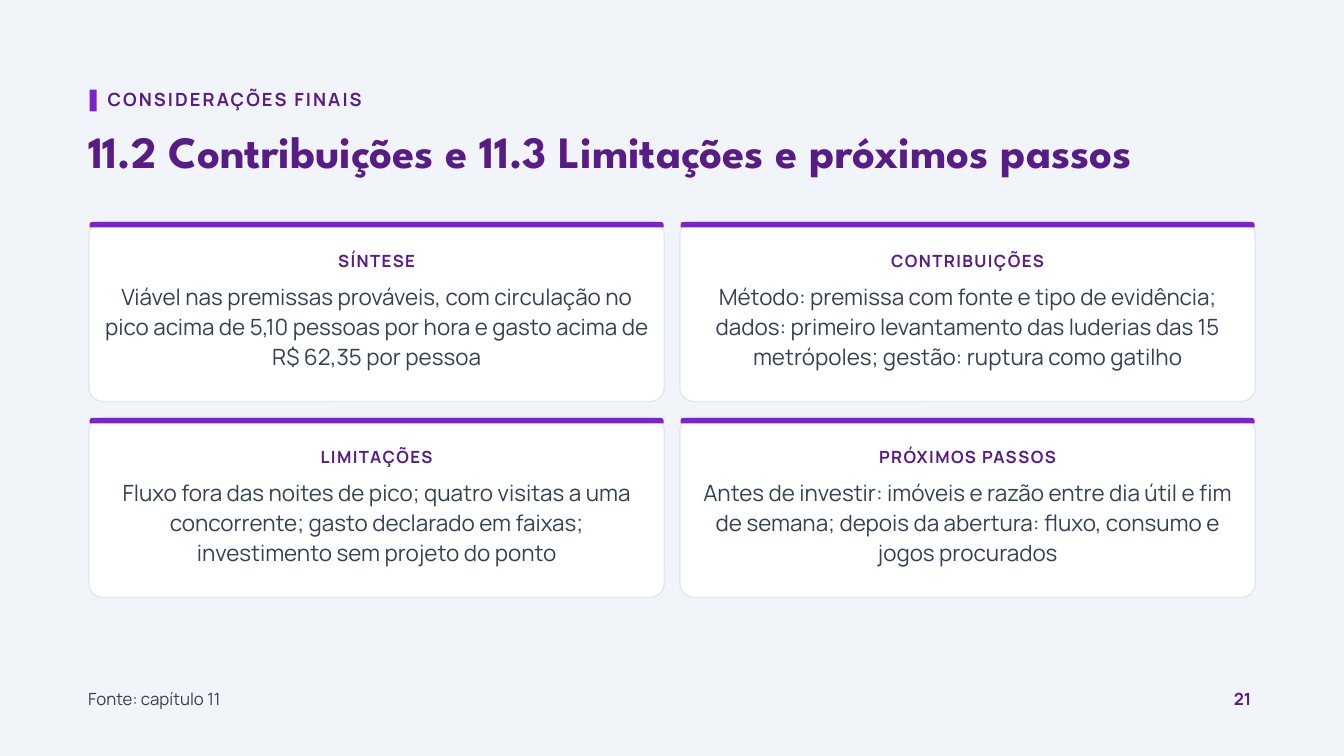
from dataclasses import dataclass

from pptx import Presentation
from pptx.dml.color import RGBColor
from pptx.enum.shapes import MSO_SHAPE
from pptx.enum.text import MSO_ANCHOR, MSO_AUTO_SIZE, PP_ALIGN
from pptx.util import Pt

RECT = MSO_SHAPE.RECTANGLE
ROUNDED = MSO_SHAPE.ROUNDED_RECTANGLE
ROUND_TOP = MSO_SHAPE.ROUND_2_SAME_RECTANGLE
LEFT, CENTER = PP_ALIGN.LEFT, PP_ALIGN.CENTER
TOP, NO_AUTOFIT = MSO_ANCHOR.TOP, MSO_AUTO_SIZE.NONE
TITLE_ONLY = 5


@dataclass
class Theme:
    background: str = "F1F5F9"
    card: str = "FFFFFF"
    border: str = "E2E8F0"
    accent: str = "7E22CE"
    # Text formats: size, line height and tracking in points
    title = dict(name="League Spartan", size=48, bold=True, color="581C87", leading=52.8)
    label = dict(name="Manrope", size=19.5, bold=True, color="581C87", leading=23.4, tracking=2.2)
    heading = dict(name="Manrope", size=18, bold=True, color="581C87", leading=21.6, tracking=1.5)
    body = dict(name="Manrope", size=24, bold=False, color="334155", leading=32.4)
    source = dict(name="Manrope", size=18, bold=False, color="334155", leading=21.6)
    number = dict(name="Manrope", size=18, bold=True, color="581C87", leading=21.6)


class SlideBuilder:
    def __init__(self, s, theme):
        self.s = s
        self.theme = theme
        fill = s.background.fill
        fill.solid()
        fill.fore_color.rgb = RGBColor.from_string(theme.background)

    def fill_text(self, sp, text, style, align=LEFT):
        """Put one formatted paragraph in a shape without insets."""
        tf = sp.text_frame
        frame = dict(margin_left=0, margin_right=0, margin_top=0, margin_bottom=0,
                     word_wrap=True, auto_size=NO_AUTOFIT, vertical_anchor=TOP)
        for key, value in frame.items():
            setattr(tf, key, value)
        p = tf.paragraphs[0]
        paragraph = dict(alignment=align, line_spacing=Pt(style["leading"]), space_before=Pt(0))
        for key, value in paragraph.items():
            setattr(p, key, value)
        r = p.add_run()
        r.text = text
        font = dict(name=style["name"], size=Pt(style["size"]), bold=style["bold"])
        for key, value in font.items():
            setattr(r.font, key, value)
        r.font.color.rgb = RGBColor.from_string(style["color"])
        if "tracking" in style:
            r.font._element.set("spc", str(round(style["tracking"] * 100)))

    def title(self, text, x, y, w, h):
        sp = self.s.shapes.title
        for key, value in dict(left=x, top=y, width=w, height=h).items():
            setattr(sp, key, Pt(value))
        self.fill_text(sp, text, self.theme.title)

    def text(self, text, x, y, w, h, style, align=LEFT):
        sp = self.s.shapes.add_textbox(Pt(x), Pt(y), Pt(w), Pt(h))
        self.fill_text(sp, text, style, align)

    def shape(self, kind, x, y, w, h, fill, line=None, radius=None):
        sp = self.s.shapes.add_shape(kind, Pt(x), Pt(y), Pt(w), Pt(h))
        sp.shadow.inherit = False
        sp.fill.solid()
        sp.fill.fore_color.rgb = RGBColor.from_string(fill)
        if line:
            sp.line.color.rgb = RGBColor.from_string(line)
            sp.line.width = Pt(1.5)
        else:
            sp.line.fill.background()
        if radius:
            sp.adjustments[0] = radius / min(w, h)

    def card(self, heading, body, x, y, w, h):
        t = self.theme
        pad = 16.5
        self.shape(ROUNDED, x, y, w, h, t.card, t.border, radius=15)
        self.shape(ROUND_TOP, x + 0.75, y + 0.75, w - 1.5, 6, t.accent, radius=3)
        self.text(heading, x + pad, y + 32, w - 2 * pad, 22, t.heading, CENTER)
        self.text(body, x + pad, y + 62.25, w - 2 * pad, 98, t.body, CENTER)


CARDS = [
    ("SÍNTESE", "Viável nas premissas prováveis, com circulação no pico acima de "
                "5,10 pessoas por hora e gasto acima de R$ 62,35 por pessoa"),
    ("CONTRIBUIÇÕES", "Método: premissa com fonte e tipo de evidência; dados: primeiro "
                      "levantamento das luderias das 15 metrópoles; gestão: ruptura como gatilho"),
    ("LIMITAÇÕES", "Fluxo fora das noites de pico; quatro visitas a uma concorrente; "
                   "gasto declarado em faixas; investimento sem projeto do ponto"),
    ("PRÓXIMOS PASSOS", "Antes de investir: imóveis e razão entre dia útil e fim de semana; "
                        "depois da abertura: fluxo, consumo e jogos procurados"),
]


def main():
    prs = Presentation()
    prs.slide_width, prs.slide_height = Pt(1440), Pt(810)
    theme = Theme()
    slide = SlideBuilder(prs.slides.add_slide(prs.slide_layouts[TITLE_ONLY]), theme)

    # Section label and title
    slide.shape(RECT, 96, 96, 7.5, 23.25, theme.accent)
    slide.text("CONSIDERAÇÕES FINAIS", 115.2, 94.5, 400, 24, theme.label)
    slide.title("11.2 Contribuições e 11.3 Limitações e próximos passos", 94.5, 137.5, 1300, 50)

    # Two by two grid of cards
    left, top, w, h, gap = 95.25, 237, 616.5, 193.25, 16.7
    for i, (heading, body) in enumerate(CARDS):
        row, col = divmod(i, 2)
        slide.card(heading, body, left + col * (w + gap), top + row * (h + gap), w, h)

    # Footer
    slide.text("Fonte: capítulo 11", 94.5, 738, 300, 22, theme.source)
    slide.text("21", 1322, 738, 24, 22, theme.number)

    prs.save("out.pptx")


if __name__ == "__main__":
    main()
